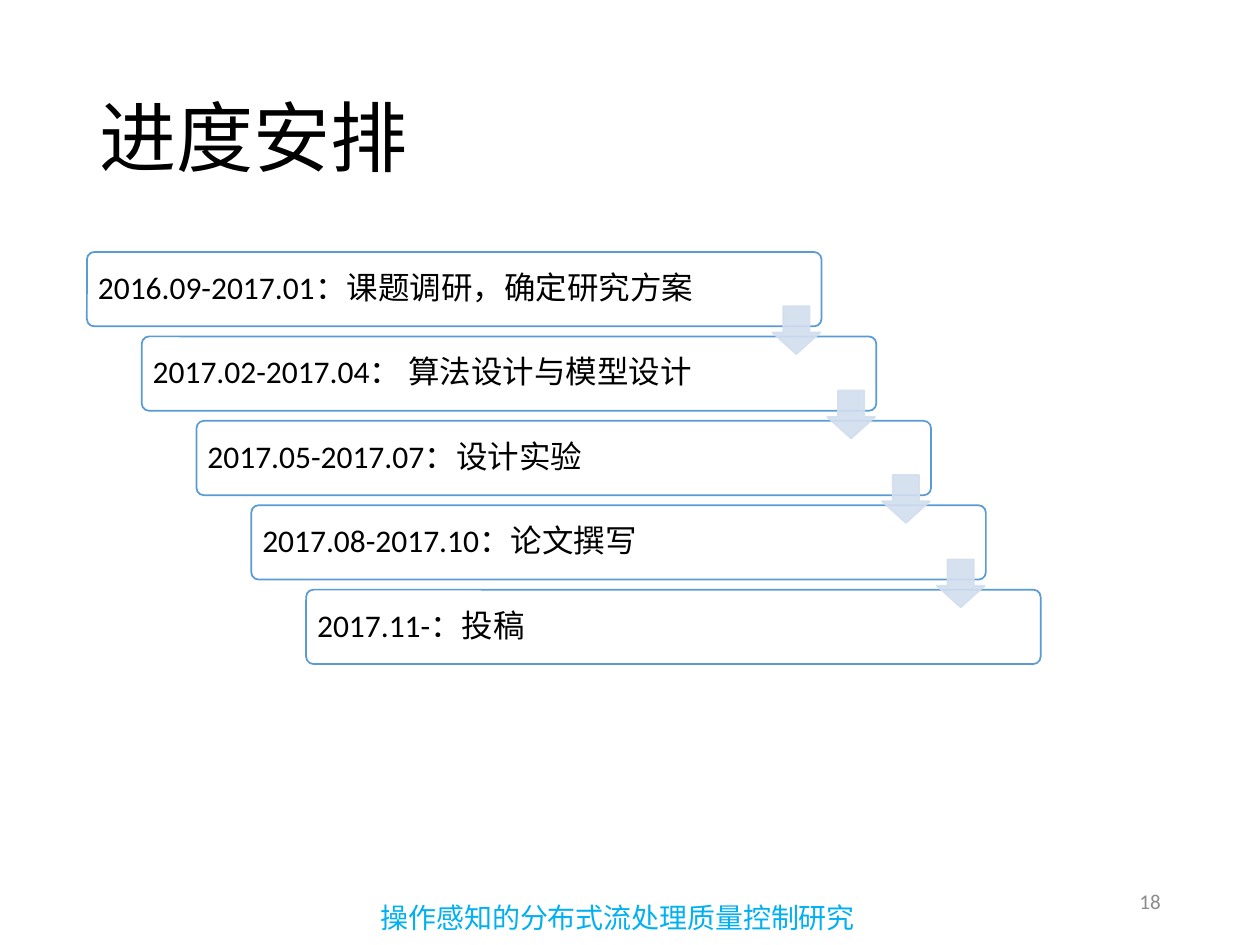
import pptx
import pptx.util
import pptx.dml.color
import pptx.enum.shapes
import pptx.enum.text
import pptx.oxml.ns
import lxml.etree

Inches, Pt = pptx.util.Inches, pptx.util.Pt
SHAPE = pptx.enum.shapes.MSO_SHAPE
ALIGN = pptx.enum.text.PP_ALIGN
ANCHOR = pptx.enum.text.MSO_ANCHOR
COLORS = {"text": "000000", "box": "FFFFFF", "border": "5B9BD5",
          "arrow": "D2DEEF", "number": "8C8C8C", "footer": "00B0F0"}


def write(sp, text, size, color, align=ALIGN.LEFT, anchor=ANCHOR.MIDDLE, spacing=None):
    tf = sp.text_frame
    tf.word_wrap = True
    tf.vertical_anchor = anchor
    tf.text = text
    p = tf.paragraphs[0]
    p.alignment = align
    p.line_spacing = spacing
    r = p.runs[0]
    r.font.size = Pt(size)
    r.font.name = "Calibri"
    r.font.color.rgb = pptx.dml.color.RGBColor.from_string(COLORS[color])


def paint(sp, fill, line, fill_alpha=100, line_alpha=100):
    sp.shadow.inherit = False
    sp.line.width = Pt(1)
    sp.fill.solid()
    for part, color, alpha in ((sp.fill, fill, fill_alpha), (sp.line.fill, line, line_alpha)):
        part.solid()
        part.fore_color.rgb = pptx.dml.color.RGBColor.from_string(COLORS[color])
    qn = pptx.oxml.ns.qn
    clrs = sp._element.spPr.iter(qn("a:srgbClr"))
    for clr, alpha in zip(list(clrs), (fill_alpha, line_alpha)):
        if alpha < 100:
            lxml.etree.SubElement(clr, qn("a:alpha")).set("val", str(alpha * 1000))


prs = pptx.Presentation()
prs.slide_width, prs.slide_height = Inches(10), Inches(7.5)
s = prs.slides.add_slide(prs.slide_layouts[6])

# Title
sp = s.shapes.add_textbox(Inches(0.69), Inches(0.4), Inches(8.62), Inches(1.45))
write(sp, "进度安排", 44, "text", spacing=0.9)

# Staircase of schedule steps
steps = ["2016.09-2017.01：课题调研，确定研究方案",
         "2017.02-2017.04： 算法设计与模型设计",
         "2017.05-2017.07：设计实验",
         "2017.08-2017.10：论文撰写",
         "2017.11-：投稿"]
left, top, dx, dy = 0.69, 2.0, 0.435, 0.67
last = len(steps) - 1
for i, step in enumerate(steps):
    sp = s.shapes.add_shape(SHAPE.ROUNDED_RECTANGLE, Inches(left + i * dx),
                            Inches(top + i * dy), Inches(5.83), Inches(0.59))
    sp.adjustments[0] = 0.1
    paint(sp, "box", "border", fill_alpha=39 if i < last else 100)
    write(sp, step, 18, "text", spacing=0.9)
    sp.text_frame.margin_left = sp.text_frame.margin_right = Inches(0.07)

# Arrows from each step to the next
for i in range(last):
    sp = s.shapes.add_shape(SHAPE.DOWN_ARROW, Inches(left + 5.44 + i * dx),
                            Inches(top + 0.43 + i * dy), Inches(0.38), Inches(0.38))
    sp.adjustments[0], sp.adjustments[1] = 0.55, 0.45
    paint(sp, "arrow", "arrow", fill_alpha=90, line_alpha=90)

# Page number and footer
sp = s.shapes.add_textbox(Inches(7.06), Inches(6.95), Inches(2.25), Inches(0.4))
write(sp, "18", 12, "number", ALIGN.RIGHT)
sp = s.shapes.add_textbox(Inches(1.64), Inches(7.1), Inches(6.53), Inches(0.37))
write(sp, "操作感知的分布式流处理质量控制研究", 16, "footer", ALIGN.CENTER, ANCHOR.TOP)

prs.save("out.pptx")
